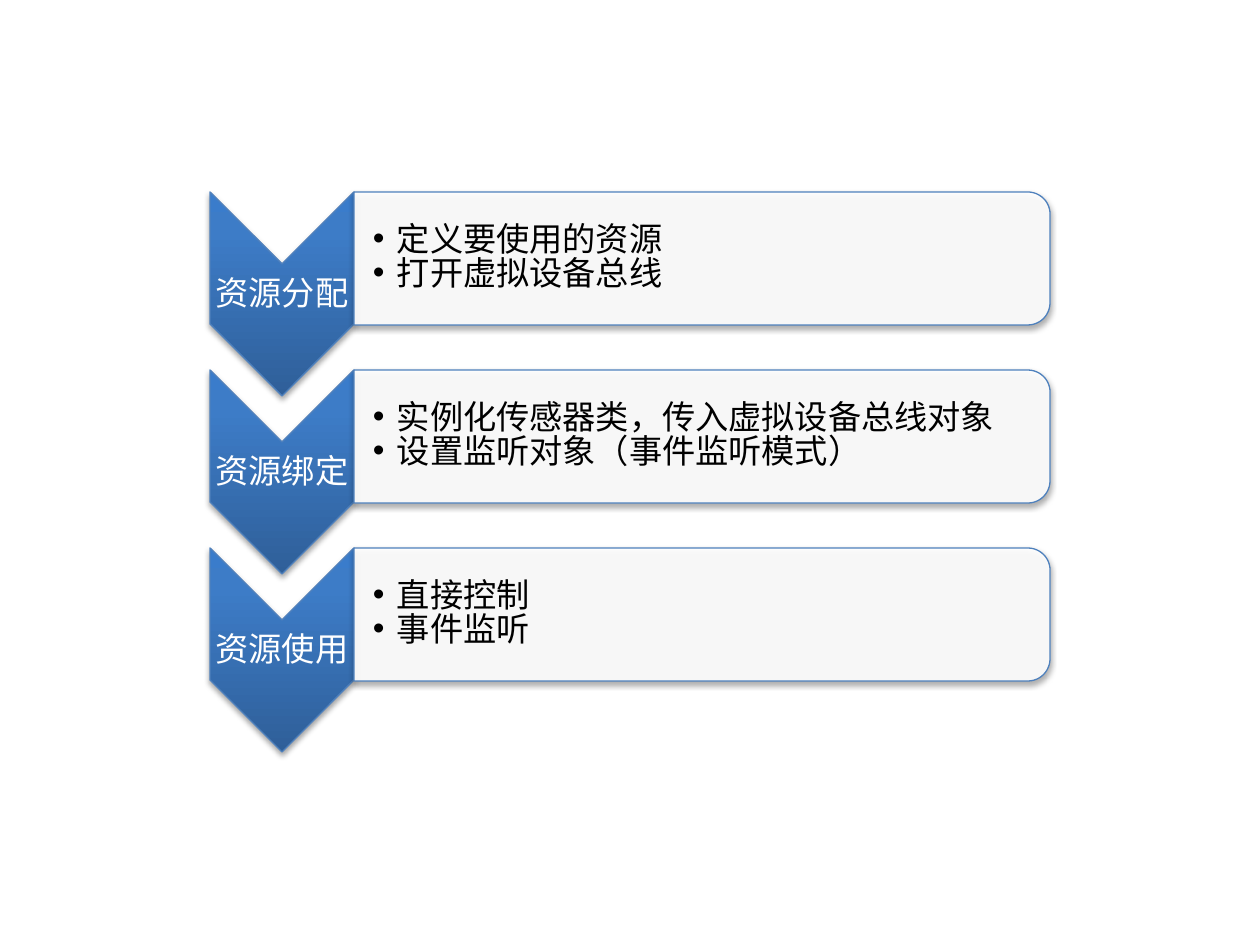
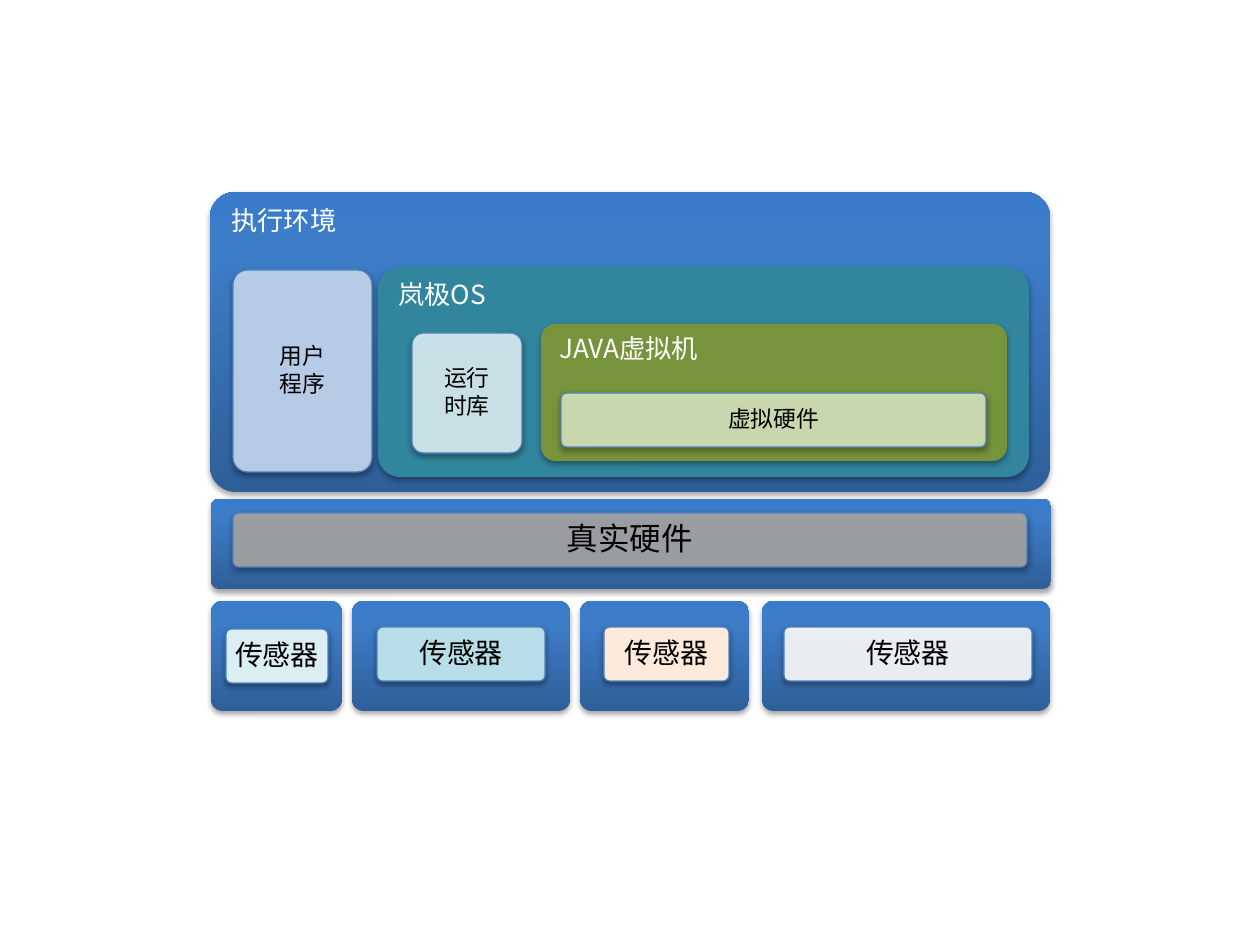
"""Build two slides: the resource workflow and the layered device architecture."""
from dataclasses import dataclass
from typing import Optional

from lxml.etree import SubElement
from pptx import Presentation
from pptx.dml.color import RGBColor
from pptx.enum.shapes import MSO_SHAPE as Shape
from pptx.enum.text import MSO_ANCHOR as Anchor, MSO_AUTO_SIZE as AutoSize, PP_ALIGN as Align
from pptx.oxml import parse_xml
from pptx.oxml.ns import nsdecls, qn
from pptx.util import Emu, Pt

FONT = "Noto Sans CJK SC"
BLACK = RGBColor(0x00, 0x00, 0x00)
WHITE = RGBColor(0xFF, 0xFF, 0xFF)
BLUE_DARK = RGBColor(0x2F, 0x5F, 0x99)
BLUE_MID = RGBColor(0x3D, 0x7C, 0xC7)
BLUE_LIGHT = RGBColor(0x3A, 0x7C, 0xCB)
OUTLINE = RGBColor(0x4F, 0x81, 0xBD)
TEAL = RGBColor(0x31, 0x85, 0x9C)
OLIVE = RGBColor(0x77, 0x93, 0x3C)
PALE_BLUE = RGBColor(0xC6, 0xD9, 0xF1)
PALE_TEAL = RGBColor(0xDB, 0xEE, 0xF4)
AQUA = RGBColor(0xB7, 0xDE, 0xE8)
PALE_OLIVE = RGBColor(0xD7, 0xE4, 0xBD)
PEACH = RGBColor(0xFD, 0xEA, 0xDA)
GREY = RGBColor(0xA6, 0xA6, 0xA6)
GRADIENT = ((0, BLUE_DARK), (80, BLUE_MID), (100, BLUE_LIGHT))

STEP_TOP, STEP_PITCH = 192, 178
ARROW_X, ARROW_W, ARROW_H = 210, 144, 204
BAR_X, BAR_W, BAR_H = 354, 696, 133


@dataclass(frozen=True)
class Step:
    name: str
    items: tuple[str, ...]


@dataclass(frozen=True)
class Panel:
    x: int
    y: int
    w: int
    h: int
    text: str = ""
    fill: Optional[RGBColor] = None
    adj: float = 0.105


@dataclass(frozen=True)
class Chip:
    x: int
    y: int
    w: int
    h: int
    text: str
    fill: RGBColor
    size: int
    opacity: int = 90


STEPS = (
    Step("资源分配", ("定义要使用的资源", "打开虚拟设备总线")),
    Step("资源绑定", ("实例化传感器类，传入虚拟设备总线对象", "设置监听对象（事件监听模式）")),
    Step("资源使用", ("直接控制", "事件监听")),
)

LAYERS = (
    Panel(210, 192, 840, 300, "执行环境", adj=0.085),
    Chip(233, 270, 139, 202, "用户\n程序", PALE_BLUE, 13),
    Panel(378, 267, 651, 210, "岚极OS", TEAL),
    Chip(412, 333, 110, 120, "运行\n时库", PALE_TEAL, 13),
    Panel(541, 324, 466, 137, "JAVA虚拟机", OLIVE),
    Chip(561, 393, 425, 54, "虚拟硬件", PALE_OLIVE, 13),
    Panel(211, 499, 840, 90, adj=0.085),
    Chip(233, 513, 794, 54, "真实硬件", GREY, 18),
    Panel(211, 601, 131, 110),
    Chip(226, 629, 102, 54, "传感器", PALE_TEAL, 16, 100),
    Panel(352, 601, 218, 110),
    Chip(377, 627, 168, 54, "传感器", AQUA, 16, 100),
    Panel(580, 601, 169, 110),
    Chip(604, 627, 125, 54, "传感器", PEACH, 16, 100),
    Panel(762, 601, 288, 110),
    Chip(784, 627, 248, 54, "传感器", WHITE, 16),
)


def px(n: float) -> Emu:
    return Emu(round(n * 914400 / 126))


def set_gradient(sp) -> None:
    sp.fill.background()
    stops = "".join(f'<a:gs pos="{pos * 1000}"><a:srgbClr val="{color}"/></a:gs>'
                    for pos, color in GRADIENT)
    grad = parse_xml(f'<a:gradFill {nsdecls("a")} rotWithShape="0"><a:gsLst>{stops}</a:gsLst>'
                     '<a:lin ang="16200000" scaled="0"/></a:gradFill>')
    no_fill = sp.element.spPr.find(qn("a:noFill"))
    no_fill.getparent().replace(no_fill, grad)


def set_shadow(sp) -> None:
    sp.shadow.inherit = False
    sp.element.spPr.find(qn("a:effectLst")).append(parse_xml(
        f'<a:outerShdw {nsdecls("a")} blurRad="40000" dist="23000" dir="5400000" '
        'rotWithShape="0"><a:srgbClr val="000000"><a:alpha val="35000"/></a:srgbClr></a:outerShdw>'))


def add_block(s, kind, x: int, y: int, w: int, h: int, fill: Optional[RGBColor],
              opacity: int = 100, outlined: bool = True, turned: bool = False):
    if turned:
        sp = s.shapes.add_shape(kind, px(x + (w - h) / 2), px(y + (h - w) / 2), px(h), px(w))
        sp.rotation = 90
    else:
        sp = s.shapes.add_shape(kind, px(x), px(y), px(w), px(h))
    if fill is None:
        set_gradient(sp)
    else:
        sp.fill.solid()
        sp.fill.fore_color.rgb = fill
        if opacity < 100:
            color = sp.element.spPr.find(qn("a:solidFill")).find(qn("a:srgbClr"))
            SubElement(color, qn("a:alpha"), val=str(opacity * 1000))
    if outlined:
        sp.line.color.rgb = OUTLINE
        sp.line.width = Pt(0.75)
    else:
        sp.line.fill.background()
    set_shadow(sp)
    return sp


def set_text(tf, text: str, size: int, color: RGBColor, align: Align = Align.CENTER,
             anchor: Anchor = Anchor.MIDDLE, left: int = 1, top: int = 1,
             spacing: float = 0.9, after: float = 0) -> None:
    tf.text = text
    tf.word_wrap = True
    tf.auto_size = AutoSize.NONE
    tf.vertical_anchor = anchor
    tf.margin_left, tf.margin_top = px(left), px(top)
    tf.margin_right = tf.margin_bottom = px(1)
    for p in tf.paragraphs:
        p.alignment = align
        p.line_spacing = spacing
        p.space_before, p.space_after = Pt(0), Pt(after)
        for r in p.runs:
            r.font.name, r.font.size, r.font.bold = FONT, Pt(size), False
            r.font.color.rgb = color
            r.font.fill.solid()
            r.font.color.rgb = color
            latin = r.font._element.find(qn("a:latin"))
            latin.addnext(parse_xml(f'<a:ea {nsdecls("a")} typeface="{FONT}"/>'))


def set_bullets(tf) -> None:
    for p in tf.paragraphs:
        pPr = p._p.get_or_add_pPr()
        pPr.set("marL", str(px(24)))
        pPr.set("indent", str(px(-24)))
        SubElement(pPr, qn("a:buFont"), typeface="Arial")
        SubElement(pPr, qn("a:buChar"), char="•")


def add_step(s, body, step: Step, y: int) -> None:
    add_block(s, Shape.CHEVRON, ARROW_X, y, ARROW_W, ARROW_H, None, turned=True)
    label = s.shapes.add_textbox(px(ARROW_X), px(y + 72), px(ARROW_W), px(62))
    set_text(label.text_frame, step.name, 19, WHITE)
    add_block(s, Shape.ROUND_2_SAME_RECTANGLE, BAR_X, y, BAR_W, BAR_H, WHITE, 90, turned=True)
    s.shapes.element.append(body.element)
    body.left, body.top, body.width, body.height = px(BAR_X), px(y + 6), px(690), px(120)
    set_text(body.text_frame, "\n".join(step.items), 19, BLACK, Align.LEFT, left=19, spacing=0.85)
    set_bullets(body.text_frame)


def add_panel(s, panel: Panel) -> None:
    sp = add_block(s, Shape.ROUNDED_RECTANGLE, panel.x, panel.y, panel.w, panel.h,
                   panel.fill, outlined=False)
    sp.adjustments[0] = panel.adj
    if panel.text:
        set_text(sp.text_frame, panel.text, 15, WHITE, Align.LEFT, Anchor.TOP, left=14, top=8)


def add_chip(s, chip: Chip) -> None:
    sp = add_block(s, Shape.ROUNDED_RECTANGLE, chip.x, chip.y, chip.w, chip.h,
                   chip.fill, chip.opacity)
    sp.adjustments[0] = 0.105
    set_text(sp.text_frame, chip.text, chip.size, BLACK, after=1.7 if "\n" in chip.text else 0)


def build_workflow(prs) -> None:
    s = prs.slides.add_slide(prs.slide_layouts[4])
    title, *bodies = list(s.placeholders)
    for spare in (title, *bodies[len(STEPS):]):
        spare.element.getparent().remove(spare.element)
    for i, (body, step) in enumerate(zip(bodies, STEPS)):
        add_step(s, body, step, STEP_TOP + i * STEP_PITCH)


def build_architecture(prs) -> None:
    s = prs.slides.add_slide(prs.slide_layouts[6])
    for layer in LAYERS:
        if isinstance(layer, Panel):
            add_panel(s, layer)
        else:
            add_chip(s, layer)


def main() -> None:
    prs = Presentation()
    prs.slide_width, prs.slide_height = px(1260), px(945)
    build_workflow(prs)
    build_architecture(prs)
    prs.save("out.pptx")


if __name__ == "__main__":
    main()
